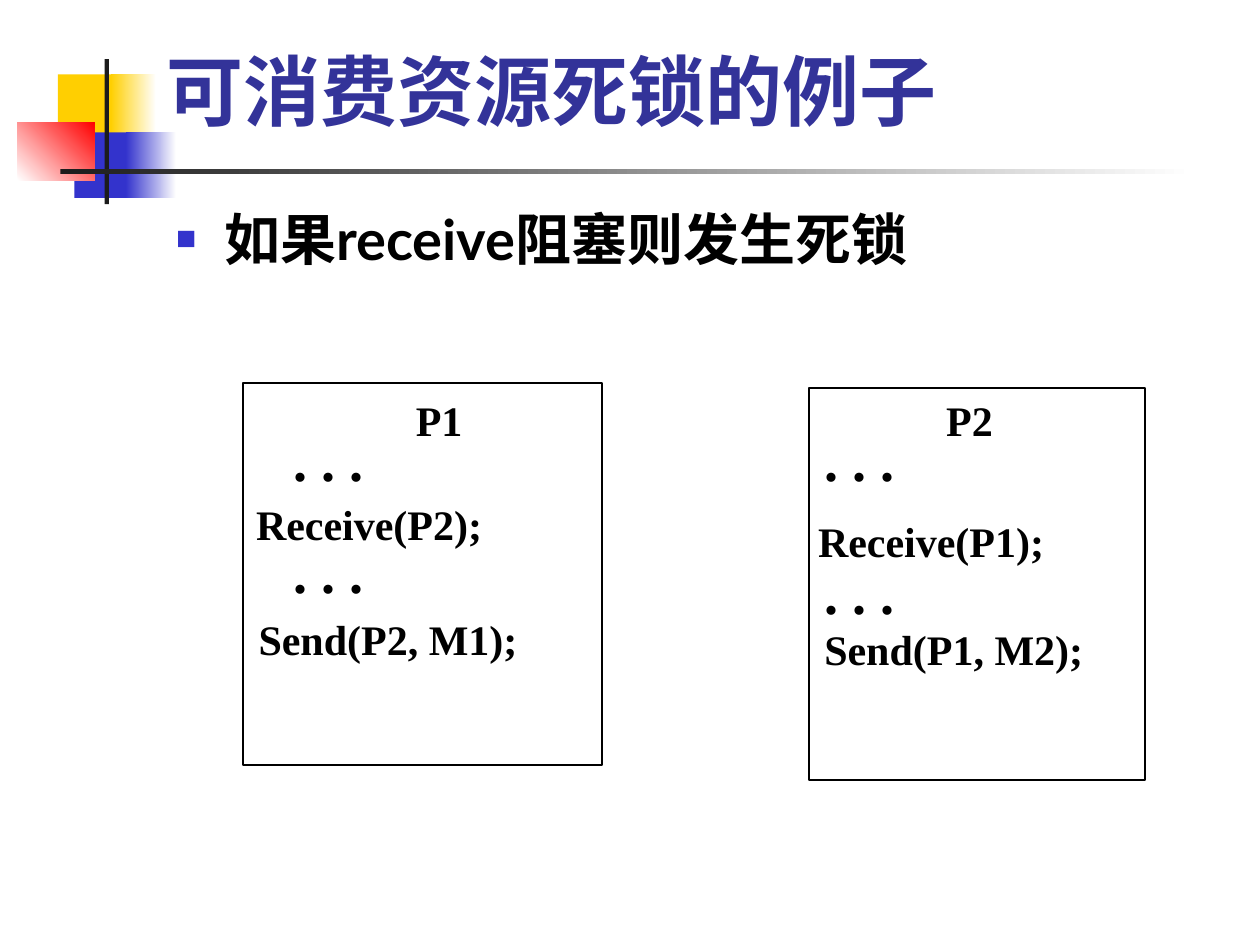
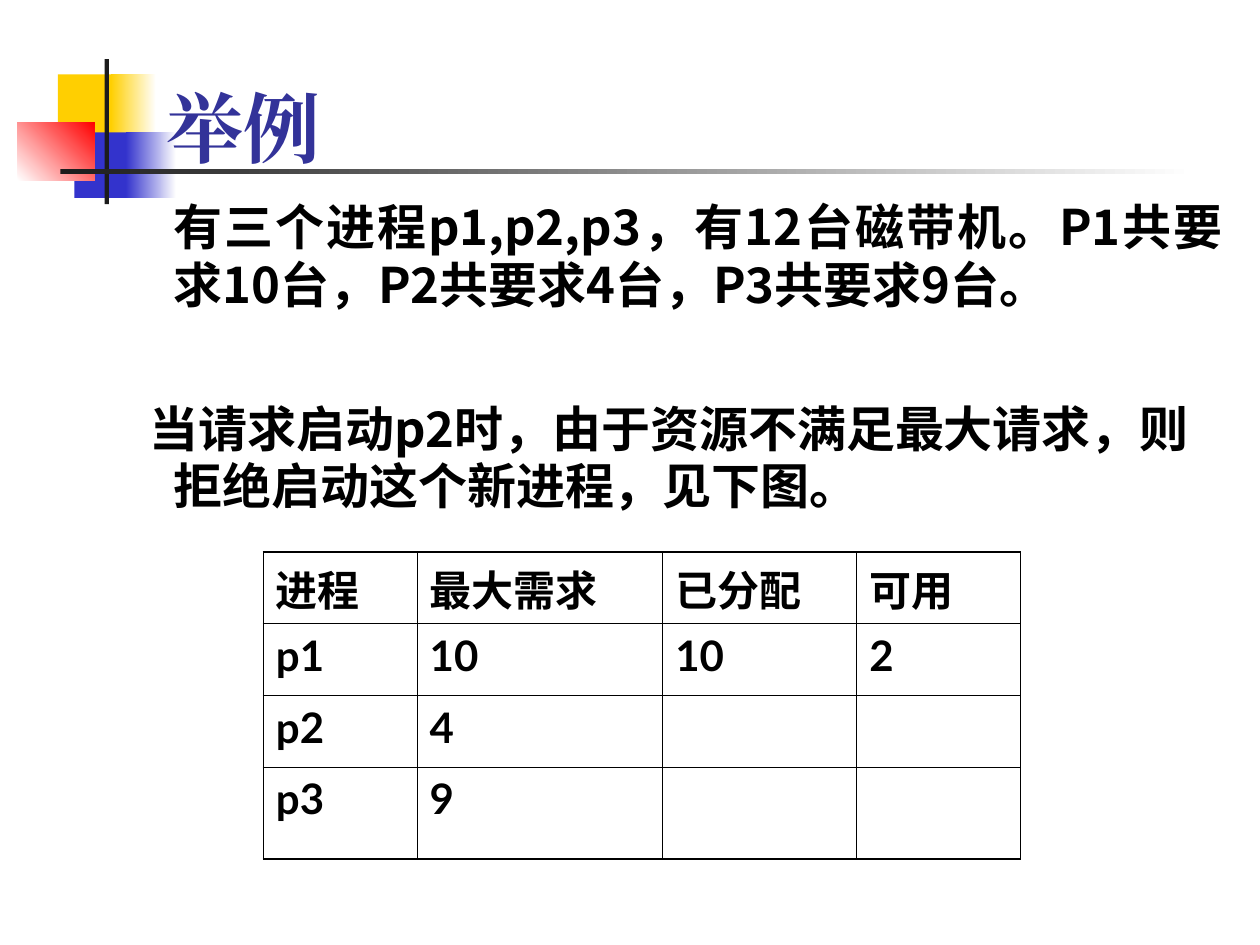
from lxml.etree import SubElement
from pptx import Presentation
from pptx.dml.color import RGBColor
from pptx.enum.shapes import MSO_SHAPE
from pptx.enum.text import MSO_ANCHOR, PP_ALIGN
from pptx.oxml.ns import qn
from pptx.util import Emu, Inches, Pt

# The grid has 100 columns and 75 rows.
CELL = Inches(0.1)
SANS, HAN, SERIF = "Lato", "Noto Sans CJK SC", "Times New Roman"
BLACK, WHITE, DARK = "000000", "FFFFFF", "1C1C1C"
GOLD, BLUE, RED, NAVY = "FFCF01", "3333CC", "FF0000", "333399"


def rgb(code):
    return RGBColor.from_string(code)


def grid(*spans):
    return [Emu(round(span * CELL)) for span in spans]


def style(para, size, font, color=BLACK):
    para.font.size, para.font.bold, para.font.name = Pt(size), True, font
    para.font.color.rgb = rgb(color)
    for run in para.runs:
        props = run._r.get_or_add_rPr()
        SubElement(props, qn("a:ea"), typeface=font if font == SERIF else HAN)


def text(slide, box, *lines, size=24, font=SANS, color=BLACK, wrap=True,
         align=PP_ALIGN.LEFT, anchor=MSO_ANCHOR.TOP, pad=0, pitch=None, gap=0):
    """Add a text box with one paragraph a line and return its paragraphs."""
    frame = slide.shapes.add_textbox(*grid(*box)).text_frame
    frame.word_wrap, frame.vertical_anchor = wrap, anchor
    frame.margin_top, frame.margin_bottom = grid(pad, pad)
    frame.text = "\n".join(lines)
    for i, para in enumerate(frame.paragraphs):
        para.alignment = align
        if pitch:
            para.line_spacing = Pt(pitch)
        if i:
            para.space_before = Pt(gap)
        style(para, size, font, color)
    return frame.paragraphs


def indent(para, left, first):
    props = para._p.get_or_add_pPr()
    left, first = grid(left, first)
    props.set("marL", str(left))
    props.set("indent", str(first))
    return props


def rect(slide, box, fill, end=None, angle=0, line=None):
    """Add a rectangle, shaded from fill to end if end is given."""
    shape = slide.shapes.add_shape(MSO_SHAPE.RECTANGLE, *grid(*box))
    shape.shadow.inherit = False
    if end:
        shape.fill.gradient()
        shape.fill.gradient_angle = angle
        for stop, color in zip(shape.fill.gradient_stops, (fill, end)):
            stop.color.rgb = rgb(color)
    else:
        shape.fill.solid()
        shape.fill.fore_color.rgb = rgb(fill)
    if line:
        shape.line.color.rgb, shape.line.width = rgb(line), Pt(1)
    else:
        shape.line.fill.background()


def page(deck, title, top, font):
    """Add a slide with the shared corner blocks, rule and title."""
    slide = deck.slides.add_slide(deck.slide_layouts[6])
    rect(slide, (4.6, 5.9, 4.8, 5.2), GOLD)
    rect(slide, (8.8, 5.9, 3.6, 5.2), GOLD, WHITE)
    rect(slide, (5.9, 10.5, 4.6, 5.2), BLUE)
    rect(slide, (10, 10.5, 4, 5.2), BLUE, WHITE)
    rect(slide, (1.4, 9.7, 6.1, 4.6), WHITE, RED, angle=45)
    rect(slide, (8.3, 4.7, 0.35, 11.5), DARK)
    rect(slide, (4.8, 13.4, 90, 0.4), DARK, WHITE)
    text(slide, (12.2, top, 85.2, 6.6), title, size=44, font=font,
         color=NAVY, anchor=MSO_ANCHOR.BOTTOM)
    return slide


def point(slide, box, line):
    """Add one line with a square bullet."""
    para = text(slide, box, line, size=32)[0]
    props = indent(para, 3.8, -3.8)
    tint = SubElement(props, qn("a:buClr"))
    SubElement(tint, qn("a:srgbClr"), val=BLUE)
    SubElement(props, qn("a:buSzPct"), val="60000")
    SubElement(props, qn("a:buFont"), typeface=SERIF)
    SubElement(props, qn("a:buChar"), char="■")


def process(slide, box, steps):
    """Add a framed process; each step is text, left, top, width in the box."""
    rect(slide, box, WHITE, line=BLACK)
    for step, left, top, width in steps:
        dots = step == ". . ."
        text(slide, (box[0] + left, box[1] + top, width, 6.3 if dots else 5),
             step, size=32 if dots else 24, font=SERIF, wrap=False,
             align=PP_ALIGN.CENTER, pad=0.5)


def border(cell, edges):
    props = cell._tc.get_or_add_tcPr()
    for side in "LRTB":
        width = Pt(1.08 if side in edges else 0.45)
        line = SubElement(props, qn(f"a:ln{side}"), w=str(width))
        fill = SubElement(line, qn("a:solidFill"))
        SubElement(fill, qn("a:srgbClr"), val=BLACK)


def table(slide, box, cols, rows, data):
    last_row, last_col = len(rows) - 1, len(cols) - 1
    chart = slide.shapes.add_table(len(rows), len(cols), *grid(*box)).table
    chart.first_row = chart.horz_banding = False
    for col, width in zip(chart.columns, grid(*cols)):
        col.width = width
    for row, height in zip(chart.rows, grid(*rows)):
        row.height = height
    for r, line in enumerate(data):
        for c, value in enumerate(line):
            cell = chart.cell(r, c)
            outer = {"T": r == 0, "B": r == last_row,
                     "L": c == 0, "R": c == last_col}
            border(cell, [side for side, edge in outer.items() if edge])
            cell.fill.solid()
            cell.fill.fore_color.rgb = rgb(WHITE)
            cell.text = value
            style(cell.text_frame.paragraphs[0], 24, SANS)


def deadlock(deck):
    slide = page(deck, "可消费资源死锁的例子", 4.2, SANS)
    point(slide, (13, 16.2, 85, 50.5), "如果receive阻塞则发生死锁")
    process(slide, (19.3, 30.4, 28.5, 30.3), [
        ("P1", 12.7, 0.4, 5.7), (". . .", 3, 2.9, 7.6),
        ("Receive(P2);", 0, 8.7, 20), (". . .", 3, 11.8, 7.6),
        ("Send(P2, M1);", 0.2, 17.8, 22.6)])
    process(slide, (64.2, 30.8, 26.7, 31.1), [
        ("P2", 9.9, 0, 5.7), (". . .", 0.2, 2.5, 7.6),
        ("Receive(P1);", -0.3, 9.6, 20), (". . .", 0.2, 13, 7.6),
        ("Send(P1, M2);", 0.2, 18.2, 22.6)])


def example(deck):
    slide = page(deck, "举例", 7.1, SERIF)
    need, deny = text(
        slide, (9, 14.7, 89, 31.5),
        "有三个进程p1,p2,p3，有12台磁带机。P1共要求10台，P2共要求4台，P3共要求9台。",
        "当请求启动p2时，由于资源不满足最大请求，则拒绝启动这个新进程，见下图。",
        size=28, font=HAN, pad=1, pitch=33, gap=49)
    need.alignment = PP_ALIGN.JUSTIFY
    indent(need, 3.8, 0)
    indent(deny, 3.8, -1.9)
    table(slide, (20.9, 43.8, 60.1, 24.4), (12.2, 19.5, 15.4, 13),
          (5.7, 5.7, 5.7, 7.3), [
              ("进程", "最大需求", "已分配", "可用"),
              ("p1", "10", "10", "2"),
              ("p2", "4", "", ""),
              ("p3", "9", "", "")])


def main():
    deck = Presentation()
    deck.slide_width, deck.slide_height = grid(100, 75)
    deadlock(deck)
    example(deck)
    deck.save("out.pptx")


if __name__ == "__main__":
    main()
